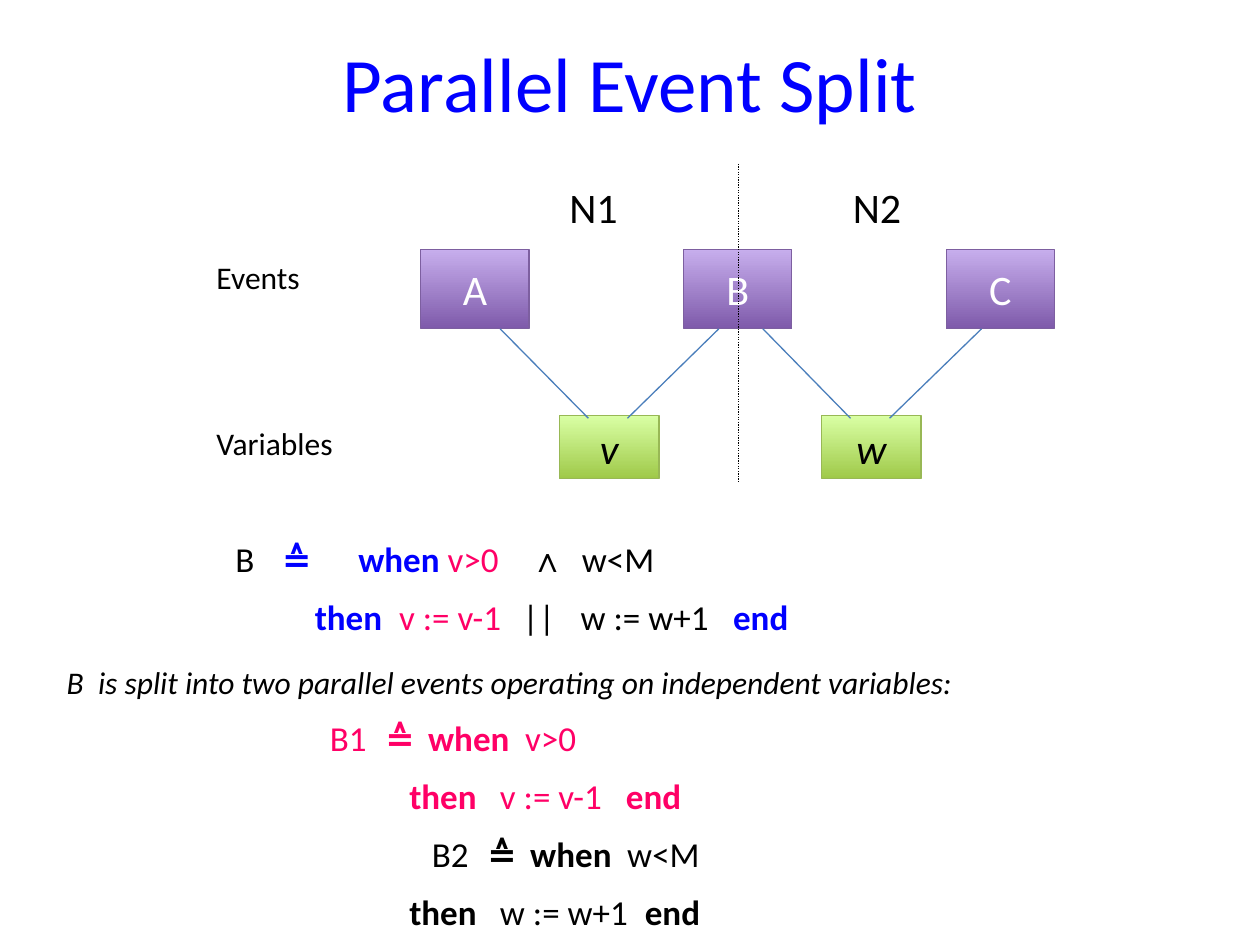
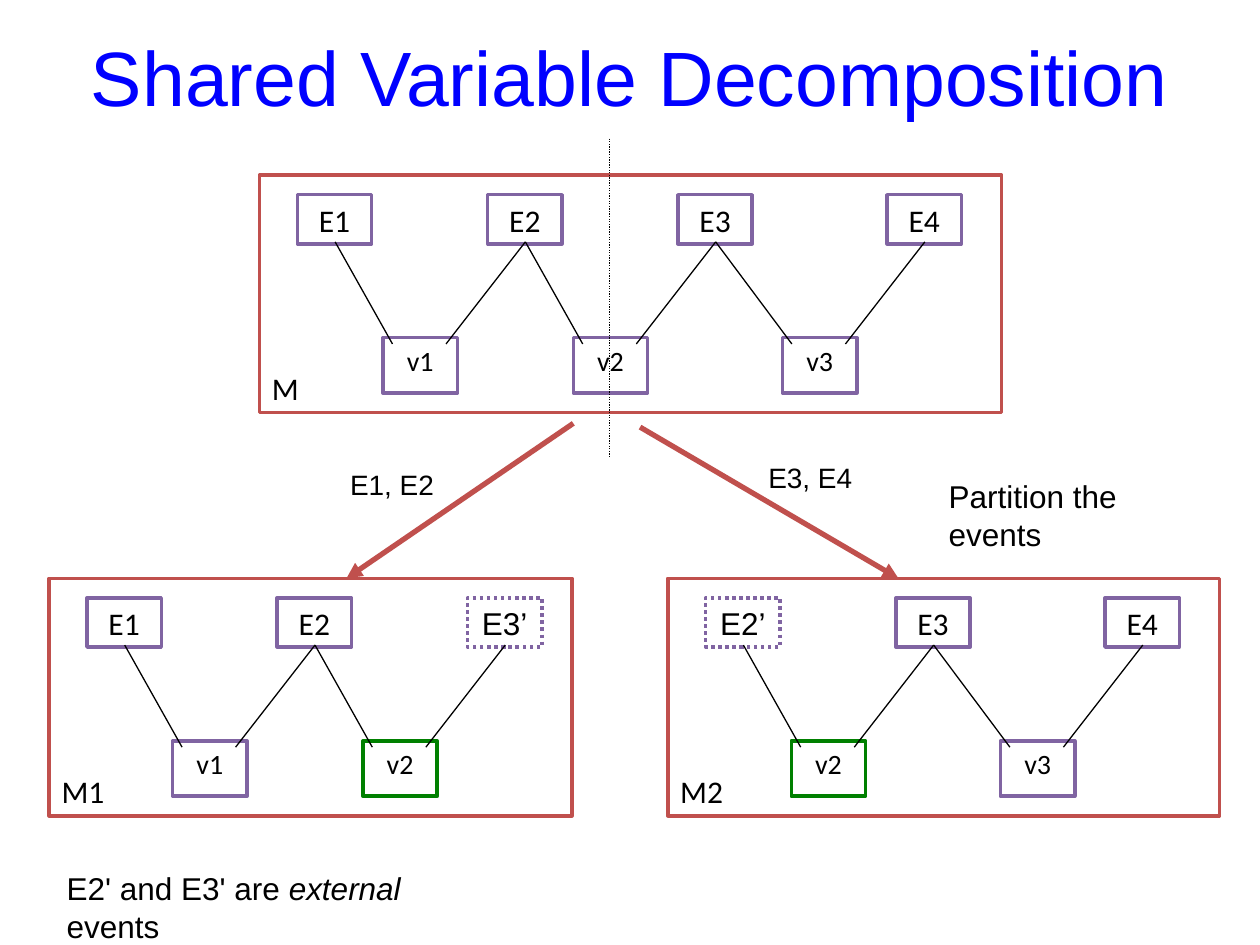
from dataclasses import dataclass, replace

from lxml import etree
from pptx import Presentation
from pptx import util as u
from pptx.dml.color import RGBColor
from pptx.enum import dml, shapes, text
from pptx.oxml import ns

COLUMNS, ROWS = 100, 75
SLIDE_WIDTH, SLIDE_HEIGHT = u.Inches(10), u.Inches(7.5)


@dataclass(frozen=True)
class Style:
    size: float = 18
    color: str = "000000"
    bold: bool = False
    italic: bool = False
    font: str = "Calibri"


@dataclass(frozen=True)
class Theme:
    title: str = "0000FF"
    keyword: str = "0000FF"
    accent: str = "FF0066"
    ink: str = "000000"
    paper: str = "FFFFFF"
    event_fill: tuple = ("7E5AAA", "C7AEED")
    event_line: str = "7D5FA0"
    variable_fill: tuple = ("9FC949", "D9FFA4")
    variable_line: str = "98B855"
    link: str = "4A7EBB"
    node: str = "8064A2"
    shared: str = "008000"
    machine: str = "C0504D"
    title_size: float = 44
    node_size: float = 24
    formula_size: float = 20
    body_size: float = 18
    small_size: float = 16
    thin: float = 0.75
    frame: float = 2
    arrow: float = 3


THEME = Theme()
BODY = Style(THEME.body_size)
FORMULA = Style(THEME.formula_size)
NODE = Style(THEME.node_size)
ARIAL = replace(BODY, font="Arial")
SMALL_ARIAL = replace(ARIAL, size=THEME.small_size)


@dataclass(frozen=True)
class Box:
    left: float
    top: float
    width: float
    height: float

    def inside(self, left, top, width, height):
        return Box(self.left + left, self.top + top, width, height)

    def point(self, column, row):
        return self.left + column, self.top + row

    def emu(self):
        return (across(self.left), down(self.top),
                across(self.width), down(self.height))


def across(columns):
    return round(SLIDE_WIDTH * columns / COLUMNS)


def down(rows):
    return round(SLIDE_HEIGHT * rows / ROWS)


def rgb(color):
    return RGBColor.from_string(color)


def write(paragraph, runs):
    for content, style in runs:
        run = paragraph.add_run()
        run.text = content
        run.font.size = u.Pt(style.size)
        run.font.name = style.font
        run.font.bold = style.bold
        run.font.italic = style.italic
        run.font.color.rgb = rgb(style.color)


def set_tabs(paragraph, columns):
    properties = paragraph._p.get_or_add_pPr()
    tab_list = etree.SubElement(properties, ns.qn("a:tabLst"))
    for column in columns:
        etree.SubElement(tab_list, ns.qn("a:tab"), pos=str(across(column)), algn="l")


def add_text(slide, box, runs, wrap=True):
    shape = slide.shapes.add_textbox(*box.emu())
    shape.text_frame.word_wrap = wrap
    write(shape.text_frame.paragraphs[0], runs)


def add_formulas(slide, box, lines):
    shape = slide.shapes.add_textbox(*box.emu())
    frame = shape.text_frame
    frame.word_wrap = True
    for index, (tabs, runs) in enumerate(lines):
        paragraph = frame.add_paragraph() if index else frame.paragraphs[0]
        paragraph.space_before = u.Pt(9)
        set_tabs(paragraph, tabs)
        write(paragraph, runs)


def add_rectangle(slide, box, label, style, line, width, fill=None, dotted=False,
                  anchor=text.MSO_ANCHOR.TOP, align=text.PP_ALIGN.CENTER):
    shape = slide.shapes.add_shape(shapes.MSO_SHAPE.RECTANGLE, *box.emu())
    shape.shadow.inherit = False
    if fill is None:
        shape.fill.background()
    elif isinstance(fill, tuple):
        shape.fill.gradient()
        shape.fill.gradient_angle = 90
        for stop, color in zip(shape.fill.gradient_stops, fill):
            stop.color.rgb = rgb(color)
    else:
        shape.fill.solid()
        shape.fill.fore_color.rgb = rgb(fill)
    shape.line.color.rgb = rgb(line)
    shape.line.width = u.Pt(width)
    if dotted:
        shape.line.dash_style = dml.MSO_LINE.ROUND_DOT
    shape.text_frame.word_wrap = True
    shape.text_frame.vertical_anchor = anchor
    paragraph = shape.text_frame.paragraphs[0]
    paragraph.alignment = align
    write(paragraph, [(label, style)])


def add_line(slide, start, end, color=THEME.ink, width=THEME.thin,
             dotted=False, arrow=False):
    connector = slide.shapes.add_connector(
        shapes.MSO_CONNECTOR.STRAIGHT,
        across(start[0]), down(start[1]), across(end[0]), down(end[1]))
    connector.line.color.rgb = rgb(color)
    connector.line.width = u.Pt(width)
    if dotted:
        connector.line.dash_style = dml.MSO_LINE.ROUND_DOT
    if arrow:
        etree.SubElement(connector.line._get_or_add_ln(), ns.qn("a:tailEnd"),
                         type="triangle")
    etree.SubElement(connector._element.spPr, ns.qn("a:effectLst"))


def add_divider(slide, column, row):
    add_line(slide, (column, row), (column, row + 25.2), dotted=True)


def add_titled_slide(presentation, box, title, font, anchor, inset):
    slide = presentation.slides.add_slide(presentation.slide_layouts[5])
    shape = slide.shapes.title
    shape.left, shape.top, shape.width, shape.height = box.emu()
    frame = shape.text_frame
    frame.auto_size = text.MSO_AUTO_SIZE.NONE
    frame.vertical_anchor = anchor
    frame.margin_top = down(inset)
    paragraph = frame.paragraphs[0]
    paragraph.alignment = text.PP_ALIGN.CENTER
    write(paragraph, [(title, Style(THEME.title_size, THEME.title, font=font))])
    return slide


def draw_event_diagram(slide, box):
    middle = text.MSO_ANCHOR.MIDDLE
    events = [box.inside(17.2 + 20.85 * i, 6.8, 8.6, 6.3) for i in range(3)]
    variables = [box.inside(28.2 + 20.8 * i, 20, 7.9, 5) for i in range(2)]
    for event, label in zip(events, "ABC"):
        add_rectangle(slide, event, label, replace(NODE, color=THEME.paper),
                      THEME.event_line, THEME.thin, THEME.event_fill, anchor=middle)
    for i, (variable, label) in enumerate(zip(variables, "vw")):
        add_rectangle(slide, variable, label, replace(NODE, italic=True),
                      THEME.variable_line, THEME.thin, THEME.variable_fill, anchor=middle)
        add_line(slide, events[i].point(6.3, 6.3), variable.point(2.3, 0.2), THEME.link)
        add_line(slide, events[i + 1].point(2.8, 6.3), variable.point(5.4, 0.2), THEME.link)
        add_text(slide, box.inside(28 + 22.5 * i, 0.9, 6.6, 5), [(f"N{i + 1}", NODE)])
    for row, label in ((7, "Events"), (20.2, "Variables")):
        add_text(slide, box.inside(0, row, 13.6, 4), [(label, BODY)])
    add_divider(slide, *box.point(42.4, 0))


def draw_split_formulas(slide, box):
    keyword = replace(FORMULA, color=THEME.keyword, bold=True)
    accent = replace(FORMULA, color=THEME.accent)
    accent_bold = replace(accent, bold=True)
    bold = replace(FORMULA, bold=True)
    add_formulas(slide, box.inside(13.4, 0, 64.6, 8.9), [
        ((3.7, 9.75, 23.4, 27.5),
         [("B", FORMULA), ("\t≙\twhen ", keyword), ("v>0", accent),
          ("\t∧", replace(FORMULA, font="Arial")), ("\tw<M", FORMULA)]),
        ((6.3, 13, 22.8, 27.4, 39.5),
         [("\tthen", keyword), ("\tv := v-1", accent),
          ("\t||\tw := w+1", FORMULA), ("\tend", keyword)]),
    ])
    add_formulas(slide, box.inside(0, 9.9, 91.3, 4), [
        ((2.5,), [("B\tis split into two parallel events operating on "
                   "independent variables:", replace(BODY, italic=True))]),
    ])
    add_formulas(slide, box.inside(20.9, 14.2, 50.4, 18.1), [
        ((4.4, 7.8, 15.5),
         [("B1", accent), ("\t≙\twhen", accent_bold), ("\tv>0", accent)]),
        ((6.3, 13.5, 23.5),
         [("\tthen", accent_bold), ("\tv := v-1", accent), ("\tend", accent_bold)]),
        ((8.1, 12.5, 15.9, 23.6),
         [("\tB2", FORMULA), ("\t≙\twhen", bold), ("\tw<M", FORMULA)]),
        ((6.3, 13.5, 25),
         [("\tthen", bold), ("\tw := w+1", FORMULA), ("\tend", bold)]),
    ])


def draw_machine(slide, box, name, events, steps, variables, shared=None):
    lefts = [3 + sum(steps[:i]) for i in range(len(events))]
    event_boxes = [box.inside(left, 1.55, 5.9, 3.9) for left in lefts]
    for event, label in zip(event_boxes, events):
        external = label.endswith("’")
        add_rectangle(slide, event, label, ARIAL if external else BODY,
                      THEME.node, THEME.frame, THEME.paper, dotted=external)
    for i, label in enumerate(variables):
        variable = box.inside(lefts[i + 1] - 8.3, 12.9, 5.9, 4.4)
        is_shared = label == shared
        add_rectangle(slide, variable, label, replace(BODY, size=THEME.small_size),
                      THEME.shared if is_shared else THEME.node, THEME.frame,
                      None if is_shared else THEME.paper)
        for event, column in zip(event_boxes[i:i + 2], (0.75, 5)):
            add_line(slide, event.point(3, 3.75), variable.point(column, 0.5))
    add_rectangle(slide, box, name, BODY, THEME.machine, THEME.frame,
                  anchor=text.MSO_ANCHOR.BOTTOM, align=text.PP_ALIGN.LEFT)


def draw_partition(slide, box):
    for start, end in (((18.7, 0), (0.7, 12.3)), ((24, 0.3), (44.5, 12.3))):
        add_line(slide, box.point(*start), box.point(*end), THEME.machine,
                 THEME.arrow, arrow=True)
    add_text(slide, box.inside(0, 3, 11.1, 6.3), [("E1, E2", SMALL_ARIAL)])
    add_text(slide, box.inside(33.2, 2.5, 11.3, 6.3), [("E3, E4", SMALL_ARIAL)])
    add_text(slide, box.inside(47.5, 3.8, 23.2, 6.9), [("Partition the events", ARIAL)])


def build_event_split(presentation):
    slide = add_titled_slide(presentation, Box(5, 0.2, 90, 12.5), "Parallel Event Split",
                             "Calibri", text.MSO_ANCHOR.MIDDLE, 0.5)
    draw_split_formulas(slide, Box(4.3, 42.2, 91.3, 32.3))
    draw_event_diagram(slide, Box(16.2, 13, 67.5, 25.2))


def build_decomposition(presentation):
    slide = add_titled_slide(presentation, Box(5, 1.4, 90, 15.7),
                             "Shared Variable Decomposition",
                             "Arial", text.MSO_ANCHOR.TOP, 0.9)
    short, long = 15.1, 16.6
    draw_machine(slide, Box(20.6, 13.9, 58.9, 18.85), "M", ("E1", "E2", "E3", "E4"),
                 (short, short, long), ("v1", "v2", "v3"))
    draw_machine(slide, Box(3.9, 45.9, 41.5, 18.85), "M1", ("E1", "E2", "E3’"),
                 (short, short), ("v1", "v2"), shared="v2")
    draw_machine(slide, Box(53, 45.9, 43.8, 18.85), "M2", ("E2’", "E3", "E4"),
                 (short, long), ("v2", "v3"), shared="v2")
    draw_partition(slide, Box(26.8, 33.6, 70.7, 12.3))
    add_text(slide, Box(4.3, 68.5, 36.5, 4),
             [("E2' and E3' are ", ARIAL), ("external", replace(ARIAL, italic=True)),
              (" events", ARIAL)], wrap=False)
    add_divider(slide, 48.4, 11)


def main():
    presentation = Presentation()
    presentation.slide_width, presentation.slide_height = SLIDE_WIDTH, SLIDE_HEIGHT
    build_event_split(presentation)
    build_decomposition(presentation)
    presentation.save("out.pptx")


if __name__ == "__main__":
    main()
